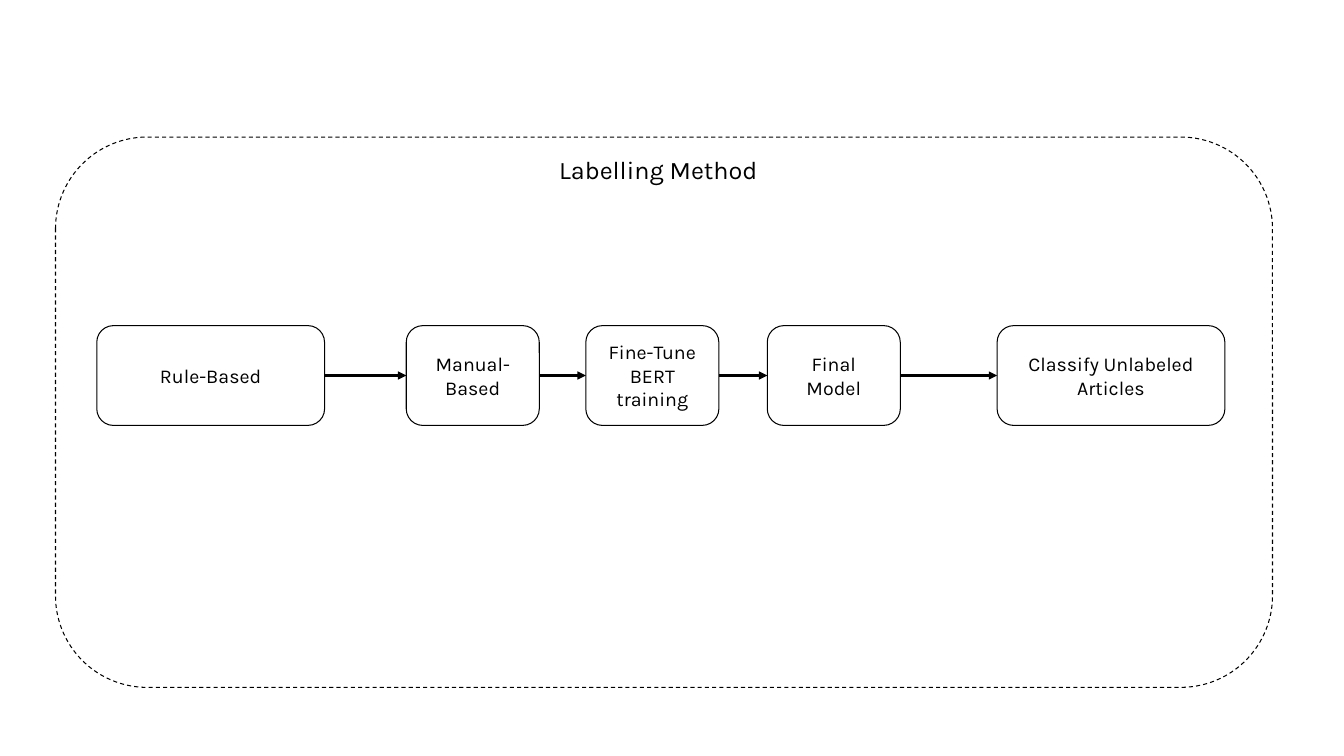
from dataclasses import dataclass
from itertools import pairwise

from lxml import etree
from pptx import Presentation
from pptx import util as u
from pptx.dml.color import RGBColor
from pptx.enum import dml, shapes, text
from pptx.oxml.ns import qn

WIDE, HIGH = u.Inches(13.33), u.Inches(7.5)
INK = "000000"
FONT = "Karla"
TOP, TALL = 43.07, 13.2
BROAD, SLIM = 16.95, 9.9


@dataclass
class Area:
    """A rectangle in percent of the slide's width and height."""
    left: float
    top: float
    width: float
    height: float

    def emu(self) -> tuple[int, int, int, int]:
        return (int(WIDE * self.left / 100), int(HIGH * self.top / 100),
                int(WIDE * self.width / 100), int(HIGH * self.height / 100))


@dataclass
class Step:
    label: str
    left: float
    width: float


FRAME = Area(4.13, 18.13, 90.55, 72.8)
TITLE = Area(40.51, 19.73, BROAD, 5.33)
STEPS = [
    Step("Rule-Based", 7.2, BROAD),
    Step("Manual-Based", 30.23, SLIM),
    Step("Fine-Tune BERT training", 43.59, SLIM),
    Step("Final Model", 57.09, SLIM),
    Step("Classify Unlabeled Articles", 74.19, BROAD),
]


def color(code: str) -> RGBColor:
    return RGBColor.from_string(code)


def stroke(item, points: float) -> None:
    item.line.color.rgb = color(INK)
    item.line.width = u.Pt(points)


def write(shape, words: str, size: int) -> None:
    frame = shape.text_frame
    frame.word_wrap = True
    frame.text = words
    para = frame.paragraphs[0]
    para.alignment = text.PP_ALIGN.CENTER
    for run in para.runs:
        run.font.name = FONT
        run.font.size = u.Pt(size)
        run.font.color.rgb = color(INK)


def box(slide, area: Area):
    """Add an unfilled rounded rectangle with a thin outline."""
    shape = slide.shapes.add_shape(
        shapes.MSO_SHAPE.ROUNDED_RECTANGLE, *area.emu())
    shape.shadow.inherit = False
    shape.fill.background()
    stroke(shape, 0.75)
    return shape


def card(slide, step: Step):
    shape = box(slide, Area(step.left, TOP, step.width, TALL))
    write(shape, step.label, 14)
    shape.text_frame.vertical_anchor = text.MSO_ANCHOR.MIDDLE
    return shape


def arrow(slide, start, end) -> None:
    """Join the right side of one card to the left side of the next."""
    link = slide.shapes.add_connector(
        shapes.MSO_CONNECTOR.STRAIGHT, 0, 0, 0, 0)
    link.begin_connect(start, 3)
    link.end_connect(end, 1)
    stroke(link, 1.5)
    tail = etree.SubElement(link.line._get_or_add_ln(), qn("a:tailEnd"))
    tail.set("type", "triangle")
    etree.SubElement(link._element.spPr, qn("a:effectLst"))


def main() -> None:
    deck = Presentation()
    deck.slide_width, deck.slide_height = WIDE, HIGH
    slide = deck.slides.add_slide(deck.slide_layouts[6])

    frame = box(slide, FRAME)
    frame.line.dash_style = dml.MSO_LINE.DASH

    title = slide.shapes.add_textbox(*TITLE.emu())
    write(title, "Labelling Method", 18)
    title.text_frame.auto_size = text.MSO_AUTO_SIZE.SHAPE_TO_FIT_TEXT

    cards = [card(slide, step) for step in STEPS]
    for start, end in pairwise(cards):
        arrow(slide, start, end)

    deck.save("out.pptx")


if __name__ == "__main__":
    main()
